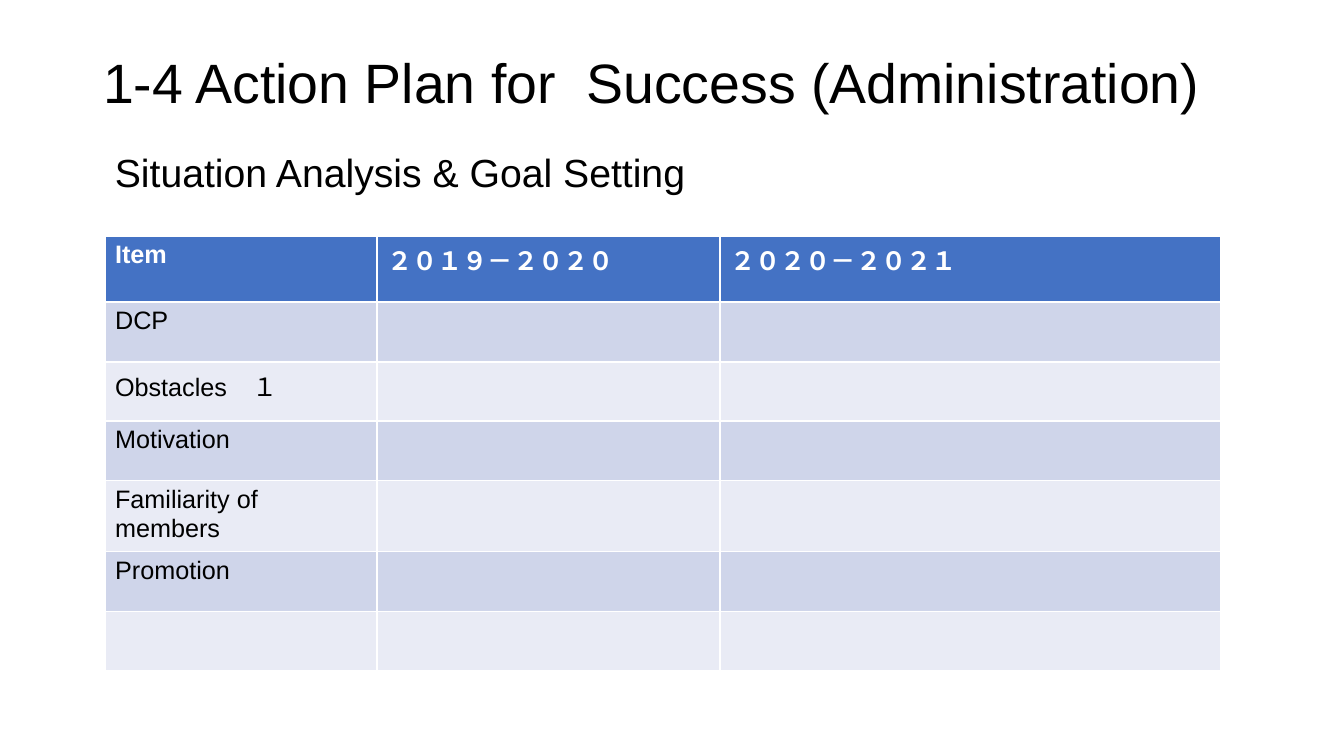
from pptx import Presentation
from pptx import util as u
from pptx.dml.color import RGBColor
from pptx.enum import text

PX_PER_INCH = 100.8
FONT = "Arial"
BLACK, WHITE = "000000", "FFFFFF"
HEADER_FILL = "4472C4"
BAND_FILLS = ("CFD5EA", "E9EBF5")

COLUMN_WIDTHS = (272, 343, 501)
ROWS = (
    (66, ("Item", "２０１９－２０２０", "２０２０－２０２１")),
    (60, ("DCP", "", "")),
    (59, ("Obstacles　１", "", "")),
    (60, ("Motivation", "", "")),
    (66, ("Familiarity of members", "", "")),
    (60, ("Promotion", "", "")),
    (59, ("", "", "")),
)


def px(length):
    return u.Inches(length / PX_PER_INCH)


def color(value):
    return RGBColor.from_string(value)


def write(frame, words, size, ink=BLACK, bold=False):
    """Fill a text frame with one left-aligned paragraph and return it."""
    frame.text = words
    paragraph = frame.paragraphs[0]
    paragraph.alignment = text.PP_ALIGN.LEFT
    for run in paragraph.runs:
        run.font.name = FONT
        run.font.size = u.Pt(size)
        run.font.bold = bold
        run.font.color.rgb = color(ink)
    return paragraph


def place_title(slide, words, left, top, width, height):
    title = slide.shapes.title
    title.left, title.top = px(left), px(top)
    title.width, title.height = px(width), px(height)
    frame = title.text_frame
    frame.auto_size = text.MSO_AUTO_SIZE.NONE
    frame.vertical_anchor = text.MSO_ANCHOR.MIDDLE
    write(frame, words, 39.6).line_spacing = 0.9


def add_subtitle(slide, words, left, top, width, height):
    subtitle = slide.shapes.add_textbox(px(left), px(top), px(width), px(height))
    subtitle.text_frame.word_wrap = True
    paragraph = write(subtitle.text_frame, words, 28)
    paragraph.line_spacing = 0.9
    paragraph.space_before = u.Pt(10)


def add_plan_table(slide, left, top):
    height = sum(row_height for row_height, _ in ROWS)
    plan = slide.shapes.add_table(
        len(ROWS), len(COLUMN_WIDTHS),
        px(left), px(top), px(sum(COLUMN_WIDTHS)), px(height),
    ).table
    for column, width in zip(plan.columns, COLUMN_WIDTHS):
        column.width = px(width)
    for index, (row_height, entries) in enumerate(ROWS):
        is_header = index == 0
        row = plan.rows[index]
        row.height = px(row_height)
        for cell, entry in zip(row.cells, entries):
            cell.fill.solid()
            fill = HEADER_FILL if is_header else BAND_FILLS[(index - 1) % 2]
            cell.fill.fore_color.rgb = color(fill)
            if entry:
                write(cell.text_frame, entry, 18, WHITE if is_header else BLACK, is_header)


def main():
    deck = Presentation()
    deck.slide_width, deck.slide_height = px(1344), px(756)
    slide = deck.slides.add_slide(deck.slide_layouts.get_by_name("Title Only"))
    place_title(slide, "1-4 Action Plan for  Success (Administration)", 93, 40, 1159, 92)
    add_subtitle(slide, "Situation Analysis & Goal Setting", 105, 149, 1174, 63)
    add_plan_table(slide, 105, 236)
    deck.save("out.pptx")


if __name__ == "__main__":
    main()
